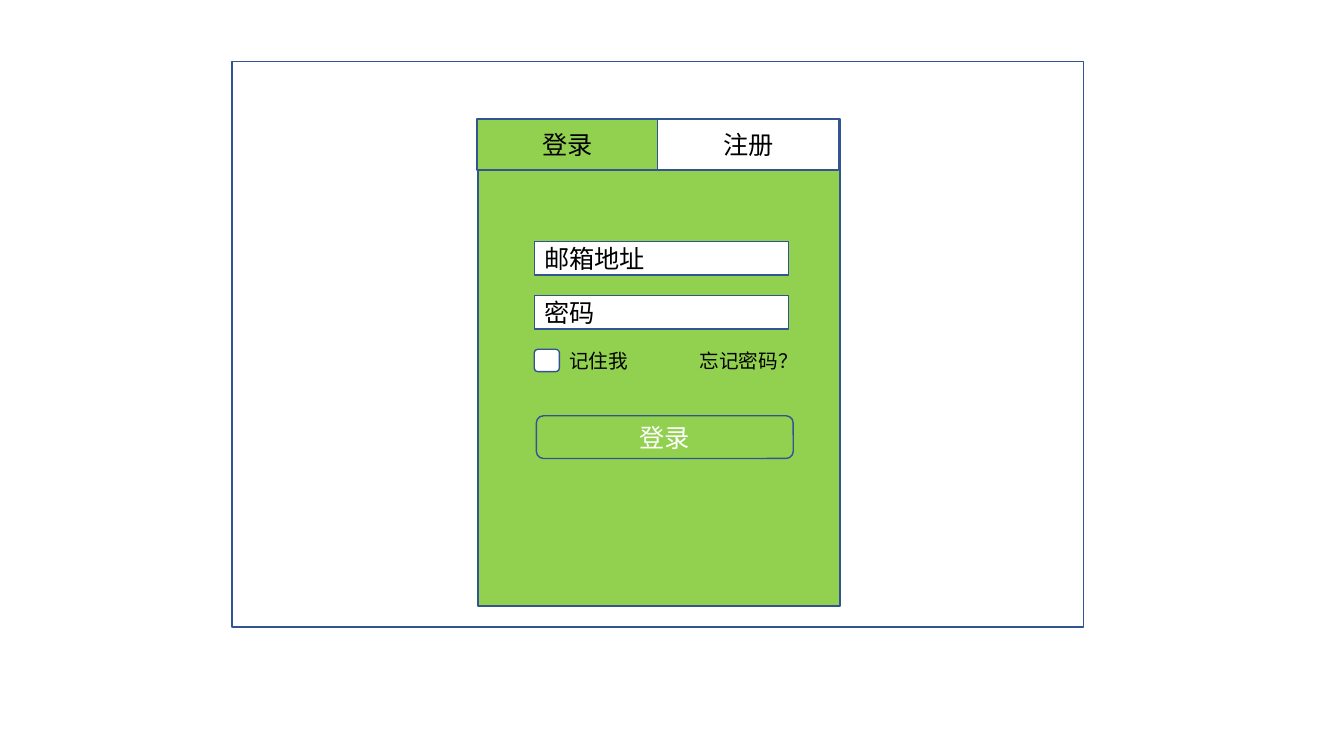
from pptx import Presentation
from pptx.dml.color import RGBColor
from pptx.enum.shapes import MSO_SHAPE as Kind
from pptx.enum.text import MSO_ANCHOR as Anchor, MSO_AUTO_SIZE as Fit, PP_ALIGN as Align
from pptx.oxml.ns import qn
from pptx.util import Pt
from lxml import etree

WHITE = RGBColor(0xFF, 0xFF, 0xFF)
BLACK = RGBColor(0, 0, 0)
GREEN = RGBColor(0x92, 0xD0, 0x50)
BLUE = RGBColor(0x32, 0x54, 0x91)
FACE = "Noto Sans CJK SC"


def write(item, text, size, color=BLACK, align=Align.LEFT):
    """Put one line of text in a shape or text box."""
    para = item.text_frame.paragraphs[0]
    para.text = text
    para.alignment = align
    font = para.font
    font.size, font.name = Pt(size), FACE
    font.color.rgb = color
    props = para._p.find(".//" + qn("a:defRPr"))
    etree.SubElement(props, qn("a:ea")).set("typeface", FACE)


def block(slide, left, top, width, height, fill, kind=Kind.RECTANGLE):
    """Add a filled shape with a thin blue outline."""
    item = slide.shapes.add_shape(kind, Pt(left), Pt(top), Pt(width), Pt(height))
    item.shadow.inherit = False
    item.fill.solid()
    item.fill.fore_color.rgb = fill
    item.line.color.rgb = BLUE
    item.line.width = Pt(1)
    item.text_frame.vertical_anchor = Anchor.MIDDLE
    return item


def label(slide, left, top, width, text, wrap):
    """Add a small text label."""
    item = slide.shapes.add_textbox(Pt(left), Pt(top), Pt(width), Pt(24.5))
    item.text_frame.word_wrap = wrap
    item.text_frame.auto_size = Fit.SHAPE_TO_FIT_TEXT
    write(item, text, 14)


def tabs(slide, left, top, width, height):
    """Two equal tabs, the first one active."""
    half = width / 2
    for i, (text, fill) in enumerate((("登录", GREEN), ("注册", WHITE))):
        tab = block(slide, left + i * half, top, half, height, fill)
        write(tab, text, 18, align=Align.CENTER)


def form(slide, left, top, width):
    """Input fields, options row and login button."""
    # Fields
    for i, text in enumerate(("邮箱地址", "密码")):
        field = block(slide, left, top + i * 38.5, width, 24, WHITE)
        write(field, text, 18)
    # Options
    block(slide, left, top + 77, 18, 16, WHITE, Kind.ROUNDED_RECTANGLE)
    label(slide, left + 18, top + 73, 57, "记住我", False)
    label(slide, left + 111, top + 73, 83, "忘记密码？", True)
    # Button
    button = block(slide, left + 1.5, top + 124.5, width + 2, 30.5, GREEN,
                   Kind.ROUNDED_RECTANGLE)
    write(button, "登录", 18, WHITE, Align.CENTER)


def page(slide, left, top, width, height):
    """Browser page with the login panel."""
    block(slide, left, top, width, height, WHITE)
    block(slide, left + 175.8, top + 41, 258.5, 347.8, GREEN)
    tabs(slide, left + 175, top + 41, 258.5, 36.5)
    form(slide, left + 216, top + 128.5, 181.5)


def main():
    deck = Presentation()
    deck.slide_width, deck.slide_height = Pt(960), Pt(540)
    slide = deck.slides.add_slide(deck.slide_layouts[6])
    page(slide, 165.6, 44, 608.4, 404)
    deck.save("out.pptx")


if __name__ == "__main__":
    main()
